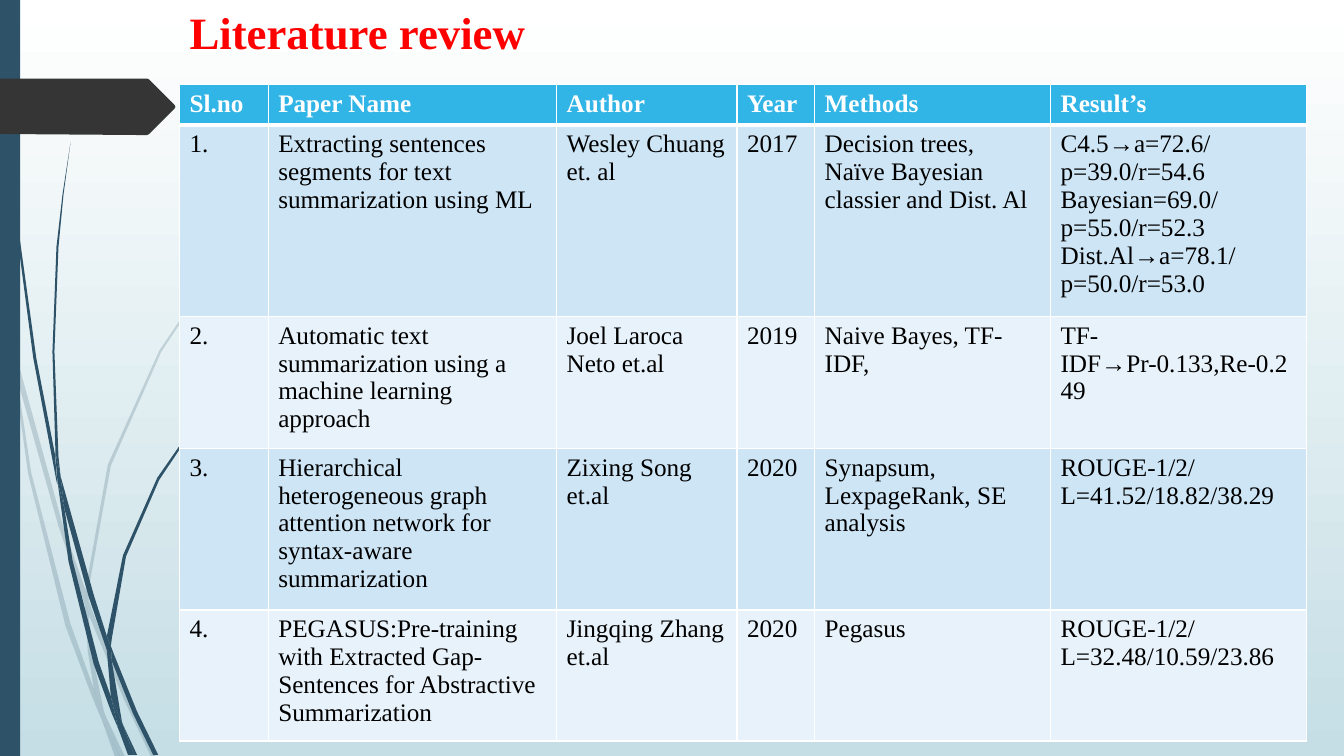
import lxml.etree
import pptx
import pptx.dml.color
import pptx.enum.shapes
import pptx.enum.text
import pptx.oxml.ns
import pptx.util

Inches = pptx.util.Inches
qn = pptx.oxml.ns.qn

COLORS = {
    "sky_top": "FFFFFF", "sky_bottom": "C5DEE5", "stalk": "2E5369", "arrow": "353535",
    "title": "FF0000", "header": "31B4E6", "band_dark": "CEE5F5", "band_light": "E8F2FA",
    "text": "000000", "white": "FFFFFF",
}
FONT = "Times New Roman"

# Outlines as "x y" corners in inches, measured from the top left of their box.
PALE_STALKS = [
    "0.11 3.5, 0.09 3.22, 0 2.82, 0 2.99, 0.1 3.44",
    "0.58 5.22, 0.84 5.99, 0.85 5.86, 0.62 5.2, 0.14 3.45, 0.17 3.76",
    "0.92 6.07, 0.88 5.96, 0.88 6.1, 1.23 6.94, 1.5 7.51, 1.55 7.51, 1.27 6.92",
    "1.19 7.51, 1.24 7.51, 1.05 7.11",
    "0.93 6.83, 0.7 6.19, 0.31 4.69, 0.17 3.76, 0.11 3.5, 0.28 4.7, 0.65 6.21, 0.92 6.93, "
    "1.01 7.14, 0.99 7.07",
    "0.84 5.99, 0.87 6.46, 0.93 6.83, 0.96 6.92, 1.05 7.11, 1.03 7.06, 0.91 6.46, 0.88 6.1, "
    "0.88 6.08",
    "0.88 5.84, 1.1 4.62, 1.6 3.49, 2.29 2.45, 2.68 1.98, 2.9 1.75, 3.12 1.54, 3.12 1.53, "
    "2.89 1.75, 2.68 1.97, 2.28 2.44, 1.58 3.48, 1.07 4.61, 0.85 5.84, 0.85 5.86, 0.88 5.96",
    "1.01 7.14, 1.14 7.51, 1.19 7.51",
    "0.88 6.08, 0.88 6.1, 0.88 5.96, 0.85 5.86, 0.84 5.99",
    "0.96 6.92, 0.93 6.83, 0.99 7.07, 1.01 7.14, 1.19 7.51, 1.05 7.11",
]
DARK_STALKS = [
    "0.07 1.1, 0.17 2.33, 0.33 3.55, 0.56 4.77, 0.57 4.81, 0.55 4.57, 0.55 4.53, 0.36 3.55, "
    "0.19 2.32, 0.08 1.09, 0.05 0.48, 0.04 0, 0.03 0, 0.04 0.48",
    "0.88 5.92, 1.06 6.45, 1.06 6.33, 1.06 6.31, 0.93 5.9, 0.6 4.72, 0.64 5.05",
    "1.13 6.49, 1.1 6.41, 1.11 6.56, 1.32 7.08, 1.52 7.49, 1.57 7.49, 1.36 7.06",
    "1.1 6.91, 0.98 6.57, 0.72 5.56, 0.64 5.05, 0.57 4.77, 0.68 5.57, 0.93 6.59, 1.11 7.08, "
    "1.17 7.22, 1.16 7.17",
    "0.6 4.72, 0.58 4.53, 0.54 3.49, 0.58 2.45, 0.63 1.93, 0.7 1.41, 0.62 1.93, 0.56 2.45, "
    "0.52 3.49, 0.55 4.49",
    "1.33 7.49, 1.36 7.49, 1.22 7.19",
    "0.57 4.77, 0.64 5.05, 0.6 4.72, 0.55 4.49, 0.55 4.53",
    "1.11 6.33, 1.25 5.52, 1.58 4.76, 2.05 4.06, 2.31 3.74, 2.45 3.59, 2.61 3.44, 2.6 3.44, "
    "2.45 3.58, 2.31 3.73, 2.04 4.05, 1.56 4.74, 1.22 5.51, 1.06 6.31, 1.1 6.41",
    "1.17 7.22, 1.27 7.49, 1.31 7.49",
    "1.06 6.45, 1.1 6.91, 1.16 7.06, 1.22 7.19, 1.21 7.16, 1.11 6.56, 1.09 6.51",
    "1.06 6.45, 1.09 6.51, 1.11 6.56, 1.1 6.41, 1.06 6.31, 1.06 6.33",
    "1.16 7.06, 1.1 6.91, 1.16 7.17, 1.17 7.22, 1.3 7.49, 1.33 7.49, 1.22 7.19",
]
ARROW = ("1.73 0.3, 1.48 0.55, 1.46 0.56, 1.36 0.56, 0 0.55, 0 0, 1.36 0, 1.46 0, "
         "1.48 0.01, 1.73 0.26, 1.74 0.28")

COLUMN_WIDTHS = [0.88, 2.86, 1.79, 0.77, 2.34, 2.54]
ROW_HEIGHTS = [0.39, 1.86, 1.31, 1.56, 1.27]
PAPERS = [
    ["Sl.no", "Paper Name", "Author", "Year", "Methods", "Result’s"],
    ["1.", "Extracting sentences segments for text summarization using ML",
     "Wesley Chuang et. al", "2017", "Decision trees, Naïve Bayesian classier and Dist. Al",
     "C4.5→a=72.6/p=39.0/r=54.6\nBayesian=69.0/p=55.0/r=52.3\nDist.Al→a=78.1/p=50.0/r=53.0"],
    ["2.", "Automatic text summarization using a machine learning approach",
     "Joel Laroca Neto et.al", "2019", "Naive Bayes, TF-IDF,", "TF-IDF→Pr-0.133,Re-0.249"],
    ["3.", "Hierarchical heterogeneous graph attention network for syntax-aware summarization",
     "Zixing Song et.al", "2020", "Synapsum, LexpageRank, SE analysis",
     "ROUGE-1/2/L=41.52/18.82/38.29"],
    ["4.", "PEGASUS:Pre-training with Extracted Gap-Sentences for Abstractive Summarization",
     "Jingqing Zhang et.al", "2020", "Pegasus", "ROUGE-1/2/L=32.48/10.59/23.86"],
]


def rgb(name):
    return pptx.dml.color.RGBColor.from_string(COLORS[name])


def paint(shape, color, alpha=None):
    """Give a shape a plain fill, with alpha in percent, and no line or shadow."""
    shape.shadow.inherit = False
    shape.fill.solid()
    shape.fill.fore_color.rgb = rgb(color)
    shape.line.fill.background()
    if alpha is not None:
        tint = shape._element.spPr.find(qn("a:solidFill"))[0]
        lxml.etree.SubElement(tint, qn("a:alpha"), val=str(alpha * 1000))


def format_text(frame, color, size, bold):
    formats = {"name": FONT, "size": pptx.util.Pt(size), "bold": bold}
    for para in frame.paragraphs:
        para.alignment = pptx.enum.text.PP_ALIGN.LEFT
        for span in para.runs:
            for key, value in formats.items():
                setattr(span.font, key, value)
            span.font.color.rgb = rgb(color)


def draw_outline(shapes, left, top, outline, color, alpha=None):
    corners = []
    for pair in outline.split(", "):
        x, y = map(float, pair.split())
        corners.append((Inches(left + x), Inches(top + y)))
    builder = shapes.build_freeform(*corners[0])
    builder.add_line_segments(corners[1:], close=True)
    paint(builder.convert_to_shape(), color, alpha)


def draw_backdrop(page, left, top, height):
    fill = page.background.fill
    fill.gradient()
    fill.gradient_angle = 270
    for stop, color in zip(fill.gradient_stops, ("sky_top", "sky_bottom")):
        stop.color.rgb = rgb(color)
    for outlines, alpha in ((PALE_STALKS, 20), (DARK_STALKS, None)):
        group = page.shapes.add_group_shape()
        for outline in outlines:
            draw_outline(group.shapes, left, top, outline, "stalk", alpha)
    band = page.shapes.add_shape(pptx.enum.shapes.MSO_SHAPE.RECTANGLE, Inches(left),
                                 Inches(top), Inches(0.2), Inches(height))
    paint(band, "stalk")
    draw_outline(page.shapes, left, top + 0.78, ARROW, "arrow")


def place_title(page, left, top, width, height):
    title = page.shapes.title
    box = {"left": left, "top": top, "width": width, "height": height}
    for key, value in box.items():
        setattr(title, key, Inches(value))
    frame = title.text_frame
    frame.text = "Literature review"
    frame.word_wrap = True
    frame.auto_size = pptx.enum.text.MSO_AUTO_SIZE.SHAPE_TO_FIT_TEXT
    frame.vertical_anchor = pptx.enum.text.MSO_ANCHOR.TOP
    format_text(frame, "title", 32, True)


def set_borders(cell, widths):
    """Draw white borders, with widths in points by side (L, R, T, B)."""
    properties = cell._tc.get_or_add_tcPr()
    for index, (side, width) in enumerate(widths.items()):
        line = lxml.etree.Element(qn(f"a:ln{side}"), w=str(pptx.util.Pt(width)))
        fill = lxml.etree.SubElement(line, qn("a:solidFill"))
        lxml.etree.SubElement(fill, qn("a:srgbClr"), val=COLORS["white"])
        properties.insert(index, line)


def place_papers(page, left, top):
    frame = page.shapes.add_table(
        len(PAPERS), len(COLUMN_WIDTHS), Inches(left), Inches(top),
        Inches(sum(COLUMN_WIDTHS)), Inches(sum(ROW_HEIGHTS)))
    table = frame.table
    for column, width in zip(table.columns, COLUMN_WIDTHS):
        column.width = Inches(width)
    for index, (row, height, texts) in enumerate(zip(table.rows, ROW_HEIGHTS, PAPERS)):
        row.height = Inches(height)
        header = index == 0
        band = "header" if header else "band_dark" if index % 2 else "band_light"
        for cell, text in zip(row.cells, texts):
            cell.text = text
            cell.fill.solid()
            cell.fill.fore_color.rgb = rgb(band)
            format_text(cell.text_frame, "white" if header else "text", 18, header)
            set_borders(cell, {"L": 1, "R": 1, "T": 3 if index == 1 else 1,
                               "B": 3 if header else 1})


def main():
    deck = pptx.Presentation()
    deck.slide_width, deck.slide_height = Inches(13.33), Inches(7.5)
    page = deck.slides.add_slide(deck.slide_layouts[5])
    draw_backdrop(page, 0, 0, 7.5)
    place_papers(page, 1.78, 0.84)
    place_title(page, 1.78, 0, 6.67, 0.64)
    deck.save("out.pptx")


if __name__ == "__main__":
    main()
